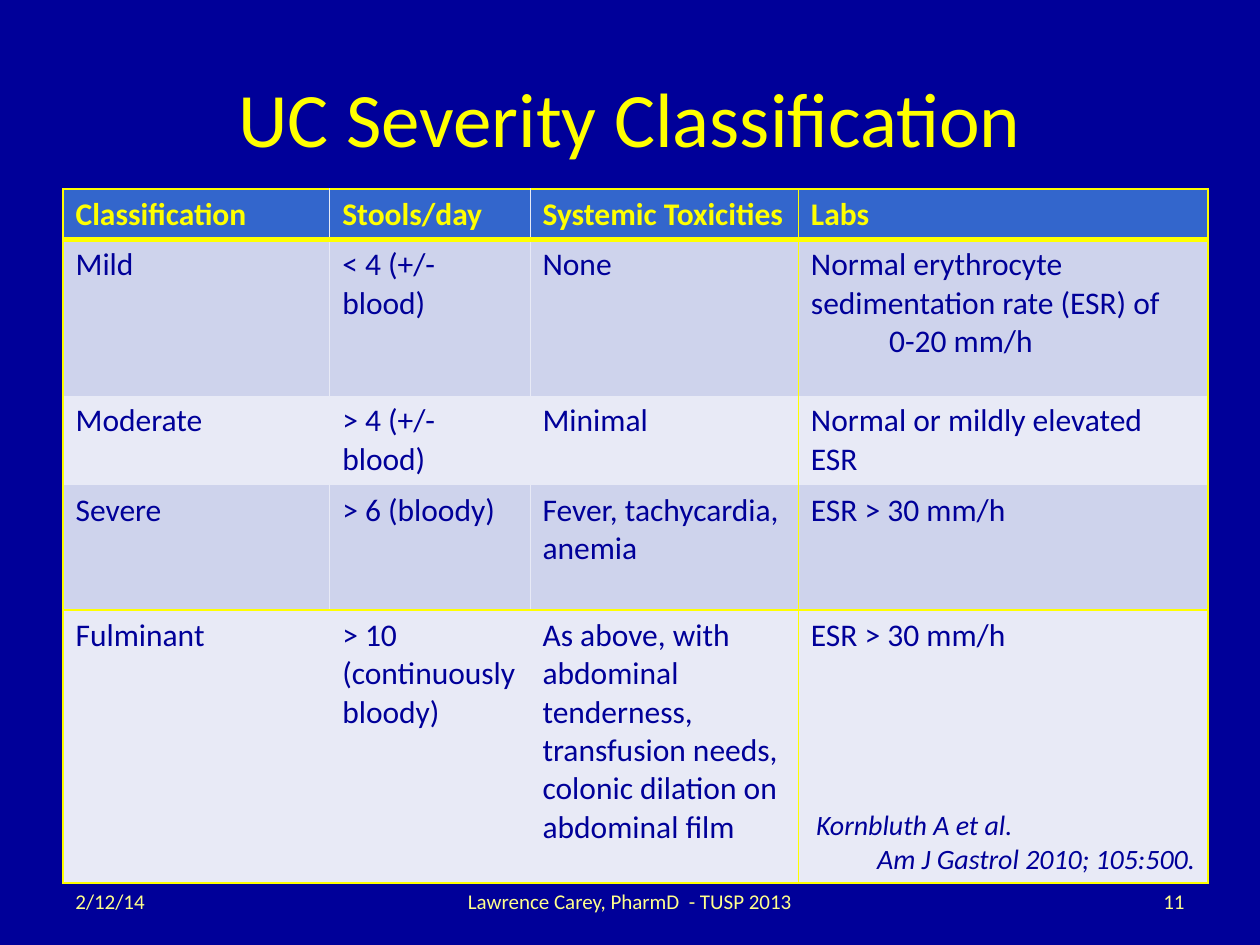
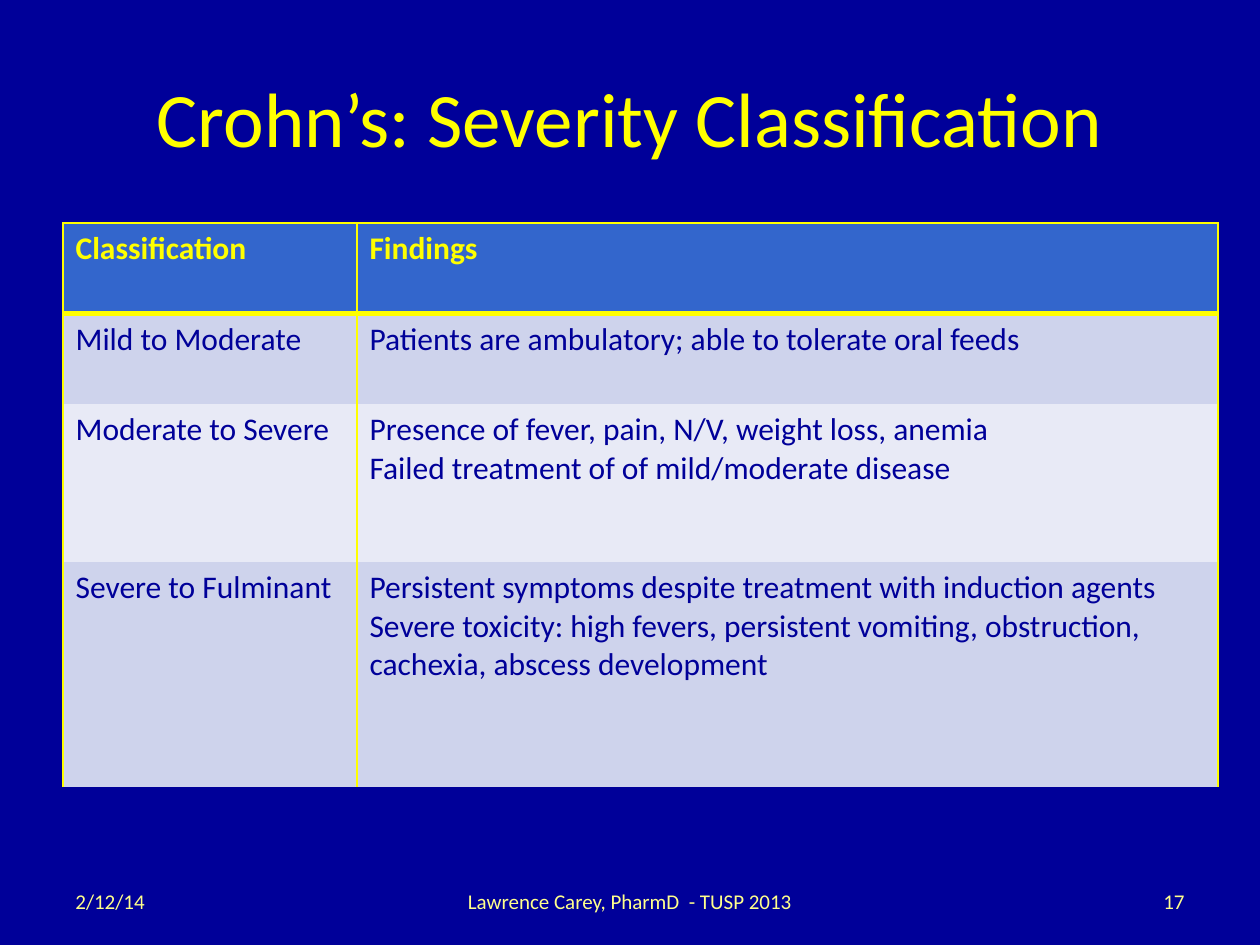
"""Build two slides that classify the severity of bowel disease."""
from dataclasses import dataclass, field

from lxml import etree
from pptx import Presentation
from pptx.dml.color import RGBColor
from pptx.enum.text import MSO_ANCHOR, PP_ALIGN
from pptx.oxml.ns import qn
from pptx.util import Emu, Inches, Pt

LEFT, MID, RIGHT = PP_ALIGN.LEFT, PP_ALIGN.CENTER, PP_ALIGN.RIGHT
CENTRE = MSO_ANCHOR.MIDDLE
WIDE, HIGH = Inches(10), Inches(7.5)
GRID = 60
NAVY, GOLD, CREAM, BLUE = "000099", "FFFF00", "FFFF8C", "3366CC"
BANDS = ("CED3EC", "E8EAF6")
TITLE = {"name": "Calibri", "size": Pt(44)}
FOOT = {"name": "Calibri", "size": Pt(12)}
HEAD = {"name": "Calibri", "size": Pt(18), "bold": True}
BODY = {"name": "Calibri", "size": Pt(18), "bold": False}
CITE = {"name": "Calibri", "size": Pt(16), "bold": False, "italic": True}


@dataclass
class Para:
    """A paragraph with its look."""
    text: str
    style: dict
    tint: str
    align: int = LEFT
    space: float = 0
    inset: float = 0


@dataclass
class Box:
    """A text box placed on the grid."""
    left: float
    top: float
    width: float
    height: float


@dataclass
class Chart:
    """A severity slide: title, page number and grid of findings."""
    title: str
    page: str
    top: float
    cols: list
    rows: list
    cells: list
    rules: set = field(default_factory=set)
    bars: set = field(default_factory=set)


def col(count: float) -> Emu:
    """Turn grid columns into a length."""
    return Emu(round(WIDE * count / GRID))


def row(count: float) -> Emu:
    """Turn grid rows into a length."""
    return Emu(round(HIGH * count / GRID))


def paint(target, tint: str) -> None:
    """Fill a target with one colour."""
    target.fill.solid()
    target.fill.fore_color.rgb = RGBColor.from_string(tint)


def write(frame, paras: list) -> None:
    """Write paragraphs into a text frame."""
    frame.word_wrap = True
    for i, item in enumerate(paras):
        para = frame.add_paragraph() if i else frame.paragraphs[0]
        para.alignment = item.align
        if item.space:
            para.space_before = Pt(item.space)
        if item.inset:
            para._p.get_or_add_pPr().set("marL", str(Inches(item.inset)))
        run = para.add_run()
        run.text = item.text
        for key, value in item.style.items():
            setattr(run.font, key, value)
        run.font.color.rgb = RGBColor.from_string(item.tint)


def label(slide, box: Box, para: Para) -> None:
    """Add a text box with one paragraph."""
    shape = slide.shapes.add_textbox(
        col(box.left), row(box.top), col(box.width), row(box.height))
    write(shape.text_frame, [para])
    shape.text_frame.vertical_anchor = CENTRE


def edge(cell, side: str, tint: str, width: float) -> None:
    """Add one border to a cell, or clear it at zero width."""
    line = etree.Element(qn(f"a:ln{side}"), w=str(Pt(width)))
    if width:
        fill = etree.SubElement(line, qn("a:solidFill"))
        etree.SubElement(fill, qn("a:srgbClr"), val=tint)
    else:
        etree.SubElement(line, qn("a:noFill"))
    props = cell._tc.get_or_add_tcPr()
    props.insert(len(props.findall("*")) - 1, line)


def frame(cell, r: int, c: int, data: Chart) -> None:
    """Draw the four borders of a cell."""
    for side, at in (("L", c), ("R", c + 1)):
        gold = at in data.rules
        edge(cell, side, GOLD if gold else BANDS[1], 1 if gold else 0.5)
    for side, at in (("T", r), ("B", r + 1)):
        edge(cell, side, GOLD, 3 if at == 1 else int(at in data.bars))


def table(slide, data: Chart) -> None:
    """Add the table of findings."""
    grid = slide.shapes.add_table(
        len(data.rows), len(data.cols), col(3), row(data.top),
        col(sum(data.cols)), row(sum(data.rows))).table
    for part, size in zip(grid.columns, data.cols):
        part.width = col(size)
    for part, size in zip(grid.rows, data.rows):
        part.height = row(size)
    for r, line in enumerate(data.cells):
        style, tint = (BODY, NAVY) if r else (HEAD, GOLD)
        for c, item in enumerate(line):
            cell = grid.cell(r, c)
            parts = item if isinstance(item, list) else [item]
            write(cell.text_frame, [
                p if isinstance(p, Para) else Para(p, style, tint) for p in parts])
            paint(cell, BANDS[(r - 1) % 2] if r else BLUE)
            frame(cell, r, c, data)


def build(deck, data: Chart) -> None:
    """Add one severity slide."""
    slide = deck.slides.add_slide(deck.slide_layouts[6])
    paint(slide.background, NAVY)
    label(slide, Box(3, 2.4, 54, 10), Para(data.title, TITLE, GOLD, MID))
    table(slide, data)
    for left, width, text, align in (
            (3, 14, "2/12/14", LEFT),
            (20.5, 19, "Lawrence Carey, PharmD  - TUSP 2013", MID),
            (43, 14, data.page, RIGHT)):
        label(slide, Box(left, 55.6, width, 3.2), Para(text, FOOT, CREAM, align))


COLITIS = Chart(
    "UC Severity Classification", "11", 12,
    [12.7, 9.54, 12.78, 19.5], [3.2, 9.92, 5.68, 7.92, 17.36],
    [["Classification", "Stools/day", "Systemic Toxicities", "Labs"],
     ["Mild", "< 4 (+/- blood)", "None",
      ["Normal erythrocyte sedimentation rate (ESR) of",
       Para("0-20 mm/h", BODY, NAVY, inset=0.62)]],
     ["Moderate", "> 4 (+/- blood)", "Minimal", "Normal or mildly elevated ESR"],
     ["Severe", "> 6 (bloody)", "Fever, tachycardia, anemia", "ESR > 30 mm/h"],
     ["Fulminant", "> 10 (continuously bloody)",
      "As above, with abdominal tenderness, transfusion needs, "
      "colonic dilation on abdominal film",
      ["ESR > 30 mm/h",
       Para("Kornbluth A et al.", CITE, NAVY, space=88, inset=0.04),
       Para("Am J Gastrol 2010; 105:500.", CITE, NAVY, RIGHT)]]],
    {0, 3, 4}, {0, 4, 5})

CROHN = Chart(
    "Crohn’s: Severity Classification", "17", 14.16,
    [14, 41], [5.76, 5.76, 10.04, 14.28],
    [["Classification", "Findings"],
     ["Mild to Moderate", "Patients are ambulatory; able to tolerate oral feeds"],
     ["Moderate to Severe",
      ["Presence of fever, pain, N/V, weight loss, anemia",
       "Failed treatment of of mild/moderate disease"]],
     ["Severe to Fulminant",
      ["Persistent symptoms despite treatment with induction agents",
       "Severe toxicity: high fevers, persistent vomiting, obstruction, "
       "cachexia, abscess development"]]],
    {0, 1, 2}, {0})


def main() -> None:
    """Build and save the deck."""
    deck = Presentation()
    deck.slide_width, deck.slide_height = WIDE, HIGH
    for data in (COLITIS, CROHN):
        build(deck, data)
    deck.save("out.pptx")


if __name__ == "__main__":
    main()
